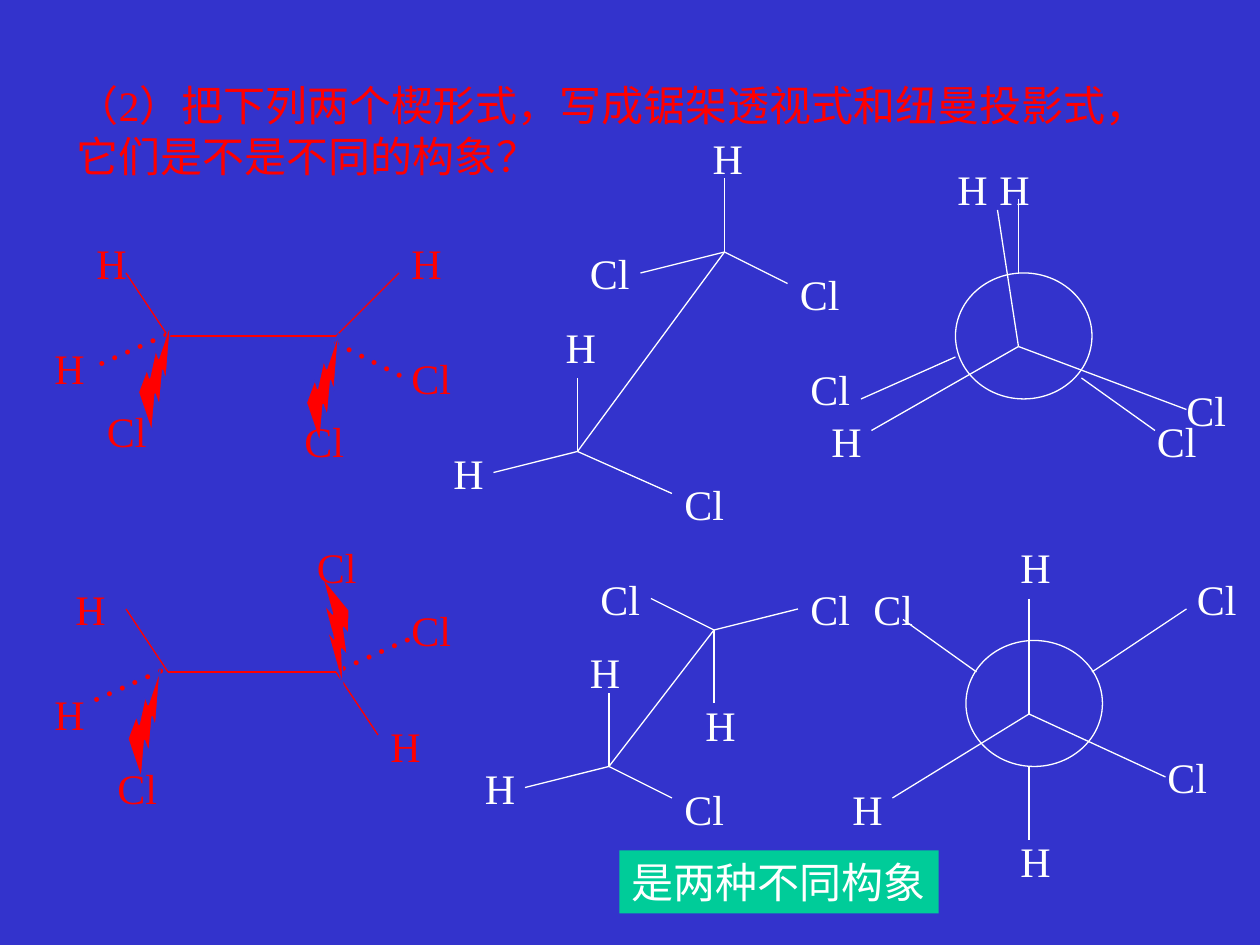
from dataclasses import dataclass

from lxml import etree
from pptx import Presentation
from pptx import util as u
from pptx.dml.color import RGBColor
from pptx.enum import shapes, text
from pptx.oxml import ns


@dataclass(frozen=True)
class Theme:
    background: str = "3333CC"
    question: str = "FF0000"
    answer: str = "FFFFFF"
    banner: str = "00CC99"
    font: str = "Times New Roman"
    size: float = 24
    line: float = 0.75


@dataclass(frozen=True)
class Box:
    column: float
    row: float
    columns: float
    rows: float
    rotation: float = 0


@dataclass(frozen=True)
class Formula:
    color: str
    bonds: list[tuple[float, float, float, float]]
    hydrogens: list[tuple[float, float]]
    chlorines: list[tuple[float, float]]
    rings: tuple[Box, ...] = ()
    wedges: tuple[Box, ...] = ()
    dashes: tuple[Box, ...] = ()


THEME = Theme()
CELL = u.Inches(10) / 120
LABEL_WIDTHS = {"H": 5.33, "Cl": 6.25}


def wedge(column: float, row: float, rotation: float = 261.6) -> Box:
    return Box(column, row, 10, 4, rotation)


def dash(column: float, row: float, rotation: float = 336.1) -> Box:
    return Box(column, row, 10.5, 6, rotation)


def ring(column: float, row: float) -> Box:
    return Box(column, row, 13, 12)


FORMULAS = [
    Formula(
        THEME.question,
        bonds=[(16, 32, 32, 32), (12, 26, 16, 32), (38, 26, 32, 32)],
        hydrogens=[(8, 22), (4, 32), (38, 22)],
        chlorines=[(9, 38), (27.8, 39), (38, 33)],
        wedges=(wedge(10, 34), wedge(26, 35)),
        dashes=(dash(7, 29), dash(30.5, 30, 26.9)),
    ),
    Formula(
        THEME.question,
        bonds=[(16, 64, 32, 64), (12, 58, 16, 64), (32, 64, 36, 70)],
        hydrogens=[(4, 65), (6, 55), (36, 68)],
        chlorines=[(10, 72), (29, 51), (38, 57)],
        wedges=(wedge(9, 67), wedge(27, 58, 61.2)),
        dashes=(dash(6.5, 61), dash(30, 58)),
    ),
    Formula(
        THEME.answer,
        bonds=[(69, 24, 55, 43), (69, 17, 69, 24), (55, 36, 55, 43), (69, 24, 61, 26),
               (55, 43, 47, 45), (64, 47, 55, 43), (75, 27, 69, 24)],
        hydrogens=[(52.7, 30), (66.7, 12), (42, 42)],
        chlorines=[(55, 23), (75, 25), (64, 45)],
    ),
    Formula(
        THEME.answer,
        bonds=[(68, 60, 58, 73), (68, 60, 68, 67), (58, 66, 58, 73), (76, 58, 68, 60),
               (58, 73, 50, 75), (68, 60, 62, 57), (64, 76, 58, 73)],
        hydrogens=[(55, 61), (66, 66), (45, 72)],
        chlorines=[(76, 55), (56, 54), (64, 74)],
    ),
    Formula(
        THEME.answer,
        bonds=[(97, 19, 97, 26), (103, 36, 110, 41), (82, 38, 91, 34),
               (83, 41, 97, 33), (113, 39, 97, 33), (95, 20, 97, 33)],
        hydrogens=[(94, 15), (90, 15), (78, 39)],
        chlorines=[(76, 34), (109, 39), (111.8, 36)],
        rings=(ring(91, 26),),
    ),
    Formula(
        THEME.answer,
        bonds=[(98, 73, 98, 80), (86, 59, 93, 64), (104, 64, 113, 58),
               (85, 76, 98, 68), (111, 74, 98, 68), (98, 57, 98, 68)],
        hydrogens=[(96, 51), (80, 74), (96, 79)],
        chlorines=[(110, 71), (112.8, 54), (82, 55)],
        rings=(ring(92, 61),),
    ),
]


def grid(*values: float) -> list[int]:
    return [round(value * CELL) for value in values]


def place(box: Box) -> list[int]:
    return grid(box.column, box.row, box.columns, box.rows)


def write(shape, lines: list[str], color: str) -> None:
    frame = shape.text_frame
    frame.text = "\n".join(lines)
    frame.word_wrap = False
    frame.auto_size = text.MSO_AUTO_SIZE.SHAPE_TO_FIT_TEXT
    frame.vertical_anchor = text.MSO_ANCHOR.TOP
    for paragraph in frame.paragraphs:
        paragraph.alignment = text.PP_ALIGN.LEFT
        paragraph.font.name = THEME.font
        paragraph.font.size = u.Pt(THEME.size)
        paragraph.font.color.rgb = RGBColor.from_string(color)


def add_text(slide, content: str, box: Box, color: str) -> None:
    shape = slide.shapes.add_textbox(*place(box))
    shape.rotation = box.rotation
    write(shape, [content], color)


def add_shape(slide, kind, box: Box, fill: str, line: str | None = None):
    shape = slide.shapes.add_shape(kind, *place(box))
    shape.rotation = box.rotation
    shape.shadow.inherit = False
    shape.fill.solid()
    shape.fill.fore_color.rgb = RGBColor.from_string(fill)
    if line:
        shape.line.color.rgb = RGBColor.from_string(line)
        shape.line.width = u.Pt(THEME.line)
    else:
        shape.line.fill.background()
    return shape


def add_bond(slide, bond: tuple[float, float, float, float], color: str) -> None:
    connector = slide.shapes.add_connector(shapes.MSO_CONNECTOR.STRAIGHT, *grid(*bond))
    connector.line.color.rgb = RGBColor.from_string(color)
    connector.line.width = u.Pt(THEME.line)
    etree.SubElement(connector._element.spPr, ns.qn("a:effectLst"))


def add_formula(slide, formula: Formula) -> None:
    for box in formula.rings:
        add_shape(slide, shapes.MSO_SHAPE.OVAL, box, THEME.background, formula.color)
    for bond in formula.bonds:
        add_bond(slide, bond, formula.color)
    for box in formula.dashes:
        add_text(slide, "……", box, formula.color)
    for box in formula.wedges:
        add_shape(slide, shapes.MSO_SHAPE.LIGHTNING_BOLT, box, formula.color, THEME.background)
    for symbol, corners in (("H", formula.hydrogens), ("Cl", formula.chlorines)):
        for column, row in corners:
            add_text(slide, symbol, Box(column, row, LABEL_WIDTHS[symbol], 6), formula.color)


def main() -> None:
    presentation = Presentation()
    presentation.slide_width, presentation.slide_height = u.Inches(10), u.Inches(7.5)
    slide = presentation.slides.add_slide(presentation.slide_layouts[5])
    slide.background.fill.solid()
    slide.background.fill.fore_color.rgb = RGBColor.from_string(THEME.background)

    title = slide.shapes.title
    title.left, title.top, title.width, title.height = place(Box(6.1, 7, 106.3, 10.8))
    write(title, ["（2）把下列两个楔形式，写成锯架透视式和纽曼投影式，", "它们是不是不同的构象？"], THEME.question)

    for formula in FORMULAS:
        add_formula(slide, formula)

    banner = add_shape(slide, shapes.MSO_SHAPE.RECTANGLE, Box(59, 81, 30.4, 6), THEME.banner)
    write(banner, ["是两种不同构象"], THEME.answer)
    presentation.save("out.pptx")


if __name__ == "__main__":
    main()
